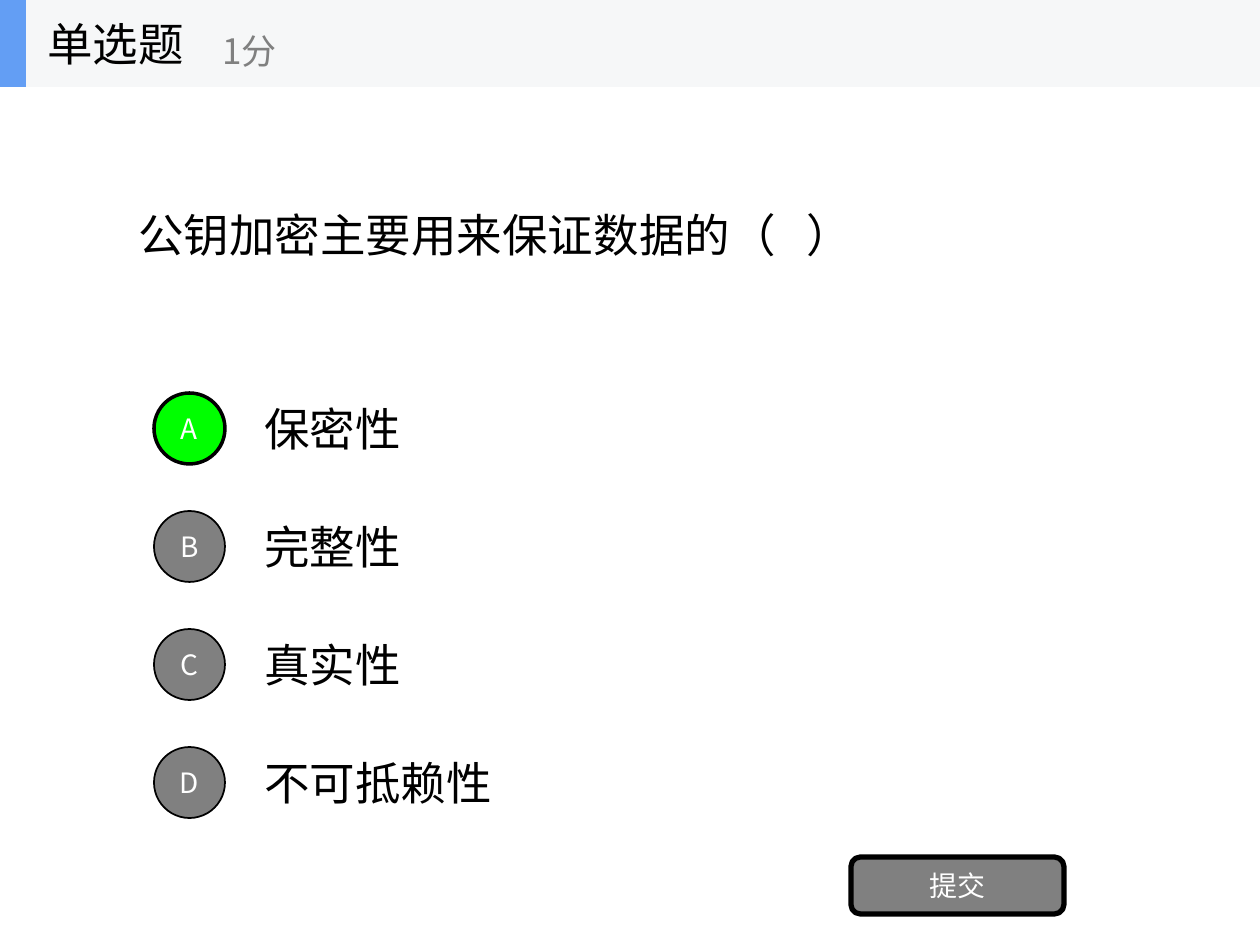
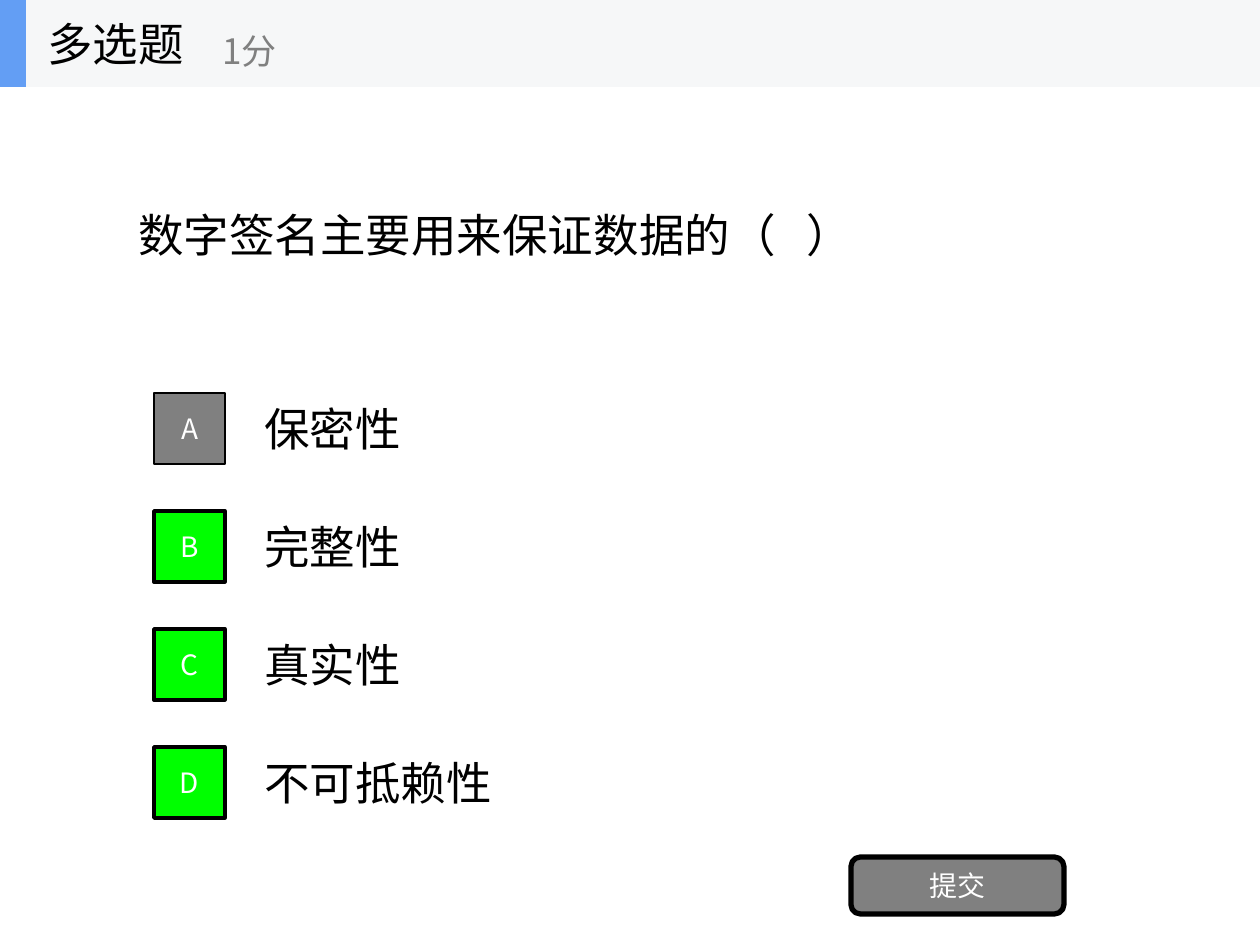
import dataclasses
import typing

import lxml.etree
import pptx
import pptx.dml.color
import pptx.enum.shapes
import pptx.enum.text
import pptx.oxml.ns
import pptx.util

FONT = "Noto Sans CJK SC"
BLACK, WHITE, GRAY, GREEN = "000000", "FFFFFF", "808080", "00FF00"
BAND, BLUE = "F6F7F8", "639EF4"
SCALE = pptx.util.Inches(1) / 126
WIDE, HIGH = 1260, 945
HEAD = 87
STEP = 118
FORM = pptx.enum.shapes.MSO_SHAPE
ALIGN = pptx.enum.text.PP_ALIGN


@dataclasses.dataclass(frozen=True)
class Box:
    left: int
    top: int
    width: int
    height: int

    def down(self, rows: int) -> "Box":
        return dataclasses.replace(self, top=self.top + rows * STEP)

    def emu(self) -> list[int]:
        return [round(n * SCALE) for n in dataclasses.astuple(self)]


@dataclasses.dataclass(frozen=True)
class Quiz:
    title: str
    ask: str
    form: FORM
    right: str


ASK = Box(126, HEAD, 1008, 295)
CHOICE = Box(252, 384, 882, 88)
MARK = Box(154, 393, 71, 71)
SUBMIT = Box(851, 857, 213, 57)
TITLE = Box(35, 0, 262, HEAD)
SCORE = Box(210, 15, 315, 71)
CHOICES = {"A": "保密性", "B": "完整性", "C": "真实性", "D": "不可抵赖性"}
QUIZZES = [
    Quiz("单选题", "公钥加密主要用来保证数据的（   ）", FORM.OVAL, "A"),
    Quiz("多选题", "数字签名主要用来保证数据的（   ）", FORM.RECTANGLE, "BCD"),
]


def color(code: str) -> pptx.dml.color.RGBColor:
    return pptx.dml.color.RGBColor.from_string(code)


def write(frame: typing.Any, text: str, size: int, ink: str, align: ALIGN) -> None:
    frame.vertical_anchor = pptx.enum.text.MSO_ANCHOR.MIDDLE
    line = frame.paragraphs[0]
    line.alignment = align
    run = line.add_run()
    run.text = text
    run.font.size = pptx.util.Pt(size)
    run.font.name = FONT
    run.font.color.rgb = color(ink)
    east = lxml.etree.SubElement(run.font._element, pptx.oxml.ns.qn("a:ea"))
    east.set("typeface", FONT)


def label(shapes: typing.Any, box: Box, text: str, size: int = 26,
          ink: str = BLACK, wrap: bool = True) -> None:
    frame = shapes.add_textbox(*box.emu()).text_frame
    frame.word_wrap = wrap
    write(frame, text, size, ink, ALIGN.LEFT)


def block(shapes: typing.Any, form: FORM, box: Box, fill: str) -> typing.Any:
    shape = shapes.add_shape(form, *box.emu())
    shape.shadow.inherit = False
    shape.fill.solid()
    shape.fill.fore_color.rgb = color(fill)
    shape.line.fill.background()
    return shape


def button(shapes: typing.Any, form: FORM, box: Box, fill: str,
           edge: int, text: str) -> None:
    shape = block(shapes, form, box, fill)
    shape.line.color.rgb = color(BLACK)
    shape.line.width = pptx.util.Pt(edge)
    frame = shape.text_frame
    frame.margin_left = frame.margin_right = 0
    frame.margin_top = frame.margin_bottom = 0
    write(frame, text, 16, WHITE, ALIGN.CENTER)


def header(shapes: typing.Any, title: str) -> None:
    group = shapes.add_group_shape().shapes
    block(group, FORM.RECTANGLE, Box(0, 0, WIDE, HEAD), BAND)
    block(group, FORM.RECTANGLE, Box(0, 0, 26, HEAD), BLUE)
    label(group, TITLE, title, wrap=False)
    label(group, SCORE, "1分", 20, GRAY, wrap=False)


def draw(deck: typing.Any, quiz: Quiz) -> None:
    shapes = deck.slides.add_slide(deck.slide_layouts[6]).shapes
    label(shapes, ASK, quiz.ask)
    for row, text in enumerate(CHOICES.values()):
        label(shapes, CHOICE.down(row), text)
    for row, key in enumerate(CHOICES):
        fill, edge = (GREEN, 2) if key in quiz.right else (GRAY, 1)
        button(shapes, quiz.form, MARK.down(row), fill, edge, key)
    button(shapes, FORM.ROUNDED_RECTANGLE, SUBMIT, GRAY, 3, "提交")
    header(shapes, quiz.title)


def main() -> None:
    deck = pptx.Presentation()
    deck.slide_width = round(WIDE * SCALE)
    deck.slide_height = round(HIGH * SCALE)
    for quiz in QUIZZES:
        draw(deck, quiz)
    deck.save("out.pptx")


if __name__ == "__main__":
    main()
